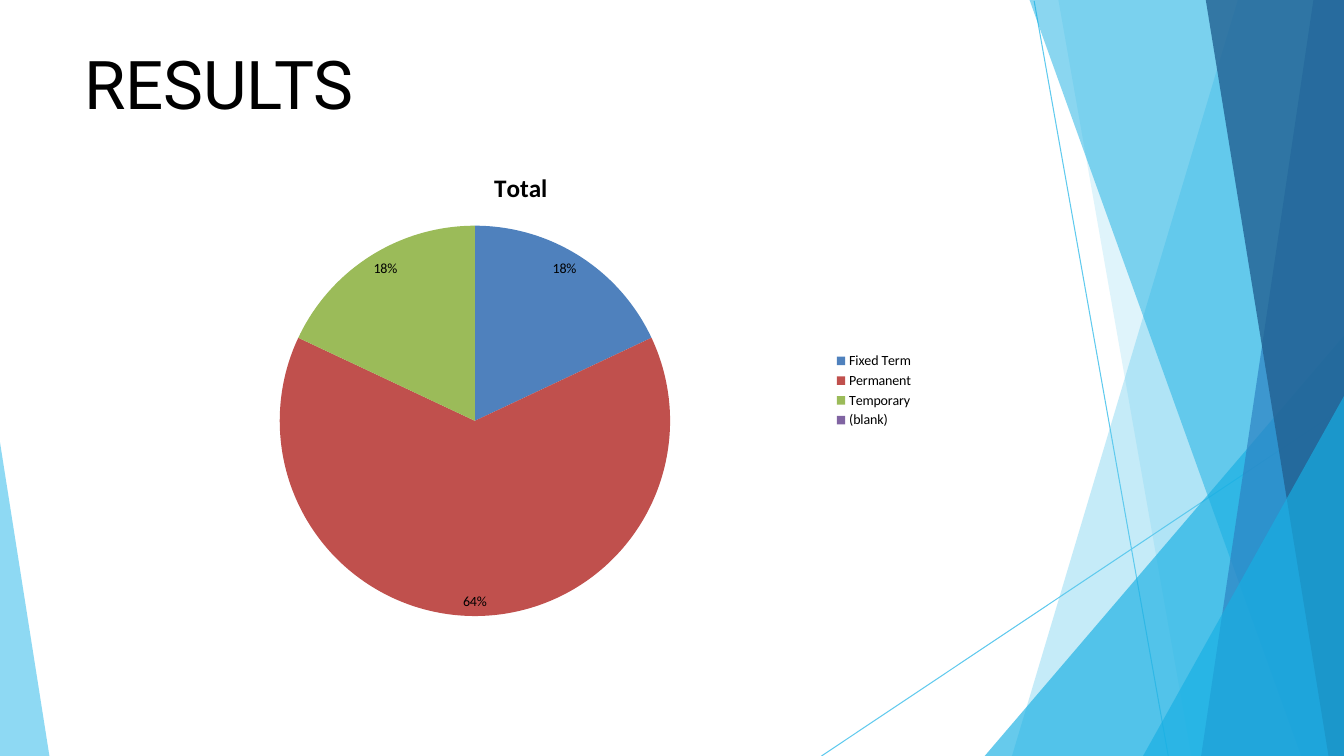
from dataclasses import dataclass

from lxml.etree import SubElement
from pptx import Presentation
from pptx.chart.data import CategoryChartData
from pptx.dml.color import RGBColor
from pptx.enum.chart import XL_CHART_TYPE, XL_LABEL_POSITION, XL_LEGEND_POSITION
from pptx.enum.shapes import MSO_CONNECTOR
from pptx.enum.text import MSO_ANCHOR, PP_ALIGN
from pptx.oxml.ns import qn
from pptx.util import Pt


@dataclass(frozen=True)
class Theme:
    ink: str = "000000"
    sky: str = "5FCAEE"
    cyan: str = "17AFE3"
    blue: str = "2D83C3"
    navy: str = "226192"
    slices: tuple = ("4F81BD", "C0504D", "9BBB59", "8064A2")
    heading_font: str = "Roboto"
    chart_font: str = "Calibri"
    heading_size: int = 48
    chart_title_size: int = 18
    chart_size: int = 10


THEME = Theme()
WIDTH, HEIGHT = 960, 540

RAYS = [
    ((738.7, 0.7), (834.5, HEIGHT)),
    ((WIDTH, 290.9), (586.8, HEIGHT)),
]


def right_facet(top, *inner):
    return [(WIDTH, top), *inner, (WIDTH, HEIGHT)]


FACETS = [
    (right_facet(0, (884.2, 0), (722.9, HEIGHT)), THEME.sky, 36),
    (right_facet(0, (756, 0), (851, HEIGHT)), THEME.sky, 20),
    (right_facet(239.8, (703.4, HEIGHT)), THEME.cyan, 66),
    (right_facet(0, (735.4, 0), (929.5, HEIGHT)), THEME.cyan, 50),
    (right_facet(0, (938.2, 0), (858, HEIGHT)), THEME.blue, 70),
    (right_facet(0, (861.3, 0), (949, HEIGHT)), THEME.navy, 80),
    (right_facet(283, (816.5, HEIGHT)), THEME.cyan, 66),
    ([(0, 316), (0, HEIGHT), (35.3, HEIGHT)], THEME.sky, 70),
]

CONTRACTS = {"Fixed Term": 18, "Permanent": 64, "Temporary": 18, "(blank)": None}


def apply(target, values):
    for name, value in values.items():
        setattr(target, name, value)


def set_font(font, name, size, bold=False):
    apply(font, {"name": name, "size": Pt(size), "bold": bold})
    font.color.rgb = RGBColor.from_string(THEME.ink)


def paint(fill, color):
    fill.solid()
    fill.fore_color.rgb = RGBColor.from_string(color)


def add_ray(slide, start, end):
    ray = slide.shapes.add_connector(
        MSO_CONNECTOR.STRAIGHT, *(Pt(value) for value in (*start, *end))
    )
    ray.line.color.rgb = RGBColor.from_string(THEME.sky)
    ray.line.width = Pt(0.75)
    SubElement(ray._element.spPr, qn("a:effectLst"))


def add_facet(slide, corners, color, opacity):
    (first_x, first_y), *others = [(Pt(x), Pt(y)) for x, y in corners]
    outline = slide.shapes.build_freeform(first_x, first_y)
    outline.add_line_segments(others, close=True)
    facet = outline.convert_to_shape()
    facet.shadow.inherit = False
    facet.line.fill.background()
    paint(facet.fill, color)
    tint = facet._element.spPr.find(qn("a:solidFill"))[0]
    SubElement(tint, qn("a:alpha"), val=str(opacity * 1000))


def set_heading(slide, wording):
    heading = slide.shapes.title
    slide.shapes._spTree.append(heading._element)
    apply(heading, {"left": Pt(60), "top": Pt(30), "width": Pt(841), "height": Pt(58.3)})
    apply(heading.text_frame, {
        "text": wording,
        "word_wrap": True,
        "vertical_anchor": MSO_ANCHOR.TOP,
        "margin_left": 0,
        "margin_right": 0,
        "margin_top": 0,
        "margin_bottom": 0,
    })
    line = heading.text_frame.paragraphs[0]
    apply(line, {"alignment": PP_ALIGN.LEFT, "line_spacing": 1.0})
    set_font(line.runs[0].font, THEME.heading_font, THEME.heading_size)


def add_contract_pie(slide):
    contract_data = CategoryChartData()
    contract_data.categories = list(CONTRACTS)
    contract_data.add_series("Total", list(CONTRACTS.values()))
    pie = slide.shapes.add_chart(
        XL_CHART_TYPE.PIE, Pt(84), Pt(108), Pt(576), Pt(342), contract_data
    ).chart
    set_font(pie.font, THEME.chart_font, THEME.chart_size)

    pie.has_title = True
    pie.chart_title.include_in_layout = False
    pie.chart_title.text_frame.text = "Total"
    caption = pie.chart_title.text_frame.paragraphs[0].runs[0]
    set_font(caption.font, THEME.chart_font, THEME.chart_title_size, bold=True)

    pie.has_legend = True
    apply(pie.legend, {"position": XL_LEGEND_POSITION.RIGHT, "include_in_layout": False})

    plot = pie.plots[0]
    apply(plot, {"vary_by_categories": True, "has_data_labels": True})
    apply(plot.data_labels, {
        "show_percentage": True,
        "show_value": False,
        "number_format": "0%",
        "number_format_is_linked": False,
        "position": XL_LABEL_POSITION.INSIDE_END,
    })
    set_font(plot.data_labels.font, THEME.chart_font, THEME.chart_size)
    for index, color in enumerate(THEME.slices):
        paint(plot.series[0].points[index].format.fill, color)


def main():
    deck = Presentation()
    apply(deck, {"slide_width": Pt(WIDTH), "slide_height": Pt(HEIGHT)})
    slide = deck.slides.add_slide(deck.slide_layouts[5])
    for start, end in RAYS:
        add_ray(slide, start, end)
    for corners, color, opacity in FACETS:
        add_facet(slide, corners, color, opacity)
    set_heading(slide, "RESULTS")
    add_contract_pie(slide)
    deck.save("out.pptx")


if __name__ == "__main__":
    main()
